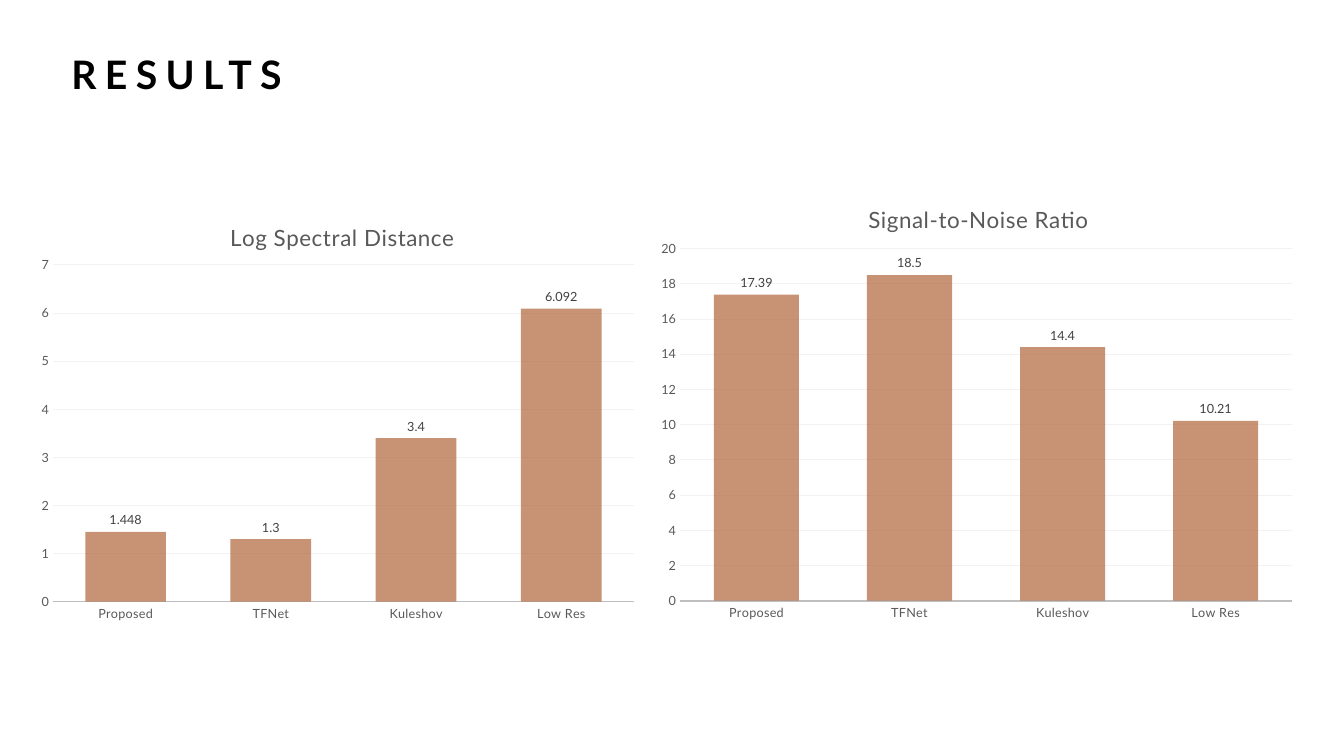
from lxml.etree import SubElement
from pptx import Presentation
from pptx.chart.data import CategoryChartData
from pptx.dml.color import RGBColor
from pptx.enum.chart import XL_CHART_TYPE, XL_LABEL_POSITION, XL_TICK_MARK
from pptx.enum.text import MSO_ANCHOR
from pptx.oxml import parse_xml
from pptx.oxml.ns import nsdecls, qn
from pptx.util import Pt

BLACK = RGBColor(0x00, 0x00, 0x00)
LABEL_GRAY = RGBColor(0x40, 0x40, 0x40)
AXIS_GRAY = RGBColor(0x59, 0x59, 0x59)
LINE_GRAY = RGBColor(0xBF, 0xBF, 0xBF)
GRID_GRAY = RGBColor(0xF2, 0xF2, 0xF2)
COPPER = RGBColor(0xB1, 0x65, 0x3B)

METHODS = ["Proposed", "TFNet", "Kuleshov", "Low Res"]
METRICS = [
    {"title": "Log Spectral Distance", "values": [1.448, 1.3, 3.4, 6.092],
     "frame": (20.2, 139.7, 441.4, 310.3), "top": 7, "step": 1,
     "title_at": {"x": 0.32, "y": 0.05},
     "plot_at": {"x": 0.04, "y": 0.16, "w": 0.94, "h": 0.775}},
    {"title": "Signal-to-Noise Ratio", "values": [17.39, 18.5, 14.4, 10.21],
     "frame": (462.2, 129.6, 470.2, 320.4), "top": 20, "step": 2,
     "title_at": {"x": 0.33, "y": 0.04},
     "plot_at": {"x": 0.05, "y": 0.15, "w": 0.93, "h": 0.785}},
]


def style_font(font, size, color, bold=False):
    settings = {"name": "Lato", "size": Pt(size), "bold": bold}
    for name, value in settings.items():
        setattr(font, name, value)
    font.color.rgb = color


def make_layout(place):
    layout = parse_xml(f"<c:layout {nsdecls('c')}><c:manualLayout/></c:layout>")
    settings = {"xMode": "edge", "yMode": "edge", **place}
    if "w" in place:
        settings = {"layoutTarget": "inner", **settings}
    for name, value in settings.items():
        SubElement(layout[0], qn(f"c:{name}")).set("val", str(value))
    return layout


deck = Presentation()
deck.slide_width, deck.slide_height = Pt(960), Pt(540)
page = deck.slides.add_slide(deck.slide_layouts[6])

box = page.shapes.add_textbox(Pt(43.9), Pt(22.3), Pt(580.3), Pt(54.7))
frame = box.text_frame
frame.word_wrap = True
frame.vertical_anchor = MSO_ANCHOR.MIDDLE
para = frame.paragraphs[0]
para.line_spacing = 1.2
span = para.add_run()
span.text = "RESULTS"
style_font(span.font, 28, BLACK, bold=True)
span.font._element.set("spc", "600")

for metric in METRICS:
    data = CategoryChartData()
    data.categories = METHODS
    data.add_series("Series 1", metric["values"])
    chart = page.shapes.add_chart(
        XL_CHART_TYPE.COLUMN_CLUSTERED, *map(Pt, metric["frame"]), data).chart
    style_font(chart.font, 10, BLACK)
    chart.has_legend = False

    heading = chart.chart_title.text_frame
    heading.text = metric["title"]
    span = heading.paragraphs[0].runs[0]
    style_font(span.font, 16, AXIS_GRAY)
    span.font._element.set("spc", "50")

    methods_axis, values_axis = chart.category_axis, chart.value_axis
    for axis in (methods_axis, values_axis):
        axis.major_tick_mark = axis.minor_tick_mark = XL_TICK_MARK.NONE
        style_font(axis.tick_labels.font, 9, AXIS_GRAY)
    methods_axis.format.line.color.rgb = LINE_GRAY
    methods_axis.format.line.width = Pt(1.25)
    values_axis.format.line.fill.background()
    values_axis.minimum_scale = 0
    values_axis.maximum_scale = metric["top"]
    values_axis.major_unit = metric["step"]
    grid = values_axis.major_gridlines.format.line
    grid.color.rgb = GRID_GRAY
    grid.width = Pt(0.75)

    plot = chart.plots[0]
    plot.gap_width = 80
    plot.overlap = 25
    plot.vary_by_categories = False
    plot.has_data_labels = True
    labels = plot.data_labels
    labels.show_value = True
    labels.position = XL_LABEL_POSITION.OUTSIDE_END
    style_font(labels.font, 9, LABEL_GRAY)

    bars = plot.series[0]
    bars.format.fill.solid()
    bars.format.fill.fore_color.rgb = COPPER

    root = chart.element
    color = root.xpath(".//c:ser/c:spPr/a:solidFill/a:srgbClr")[0]
    SubElement(color, qn("a:alpha")).set("val", "70000")
    root.xpath(".//c:catAx/c:txPr//a:defRPr")[0].set("spc", "20")
    for layout in root.xpath(".//c:title/c:layout | .//c:plotArea/c:layout"):
        layout.getparent().remove(layout)
    root.xpath(".//c:title/c:tx")[0].addnext(make_layout(metric["title_at"]))
    root.xpath(".//c:plotArea")[0].insert(0, make_layout(metric["plot_at"]))

deck.save("out.pptx")
